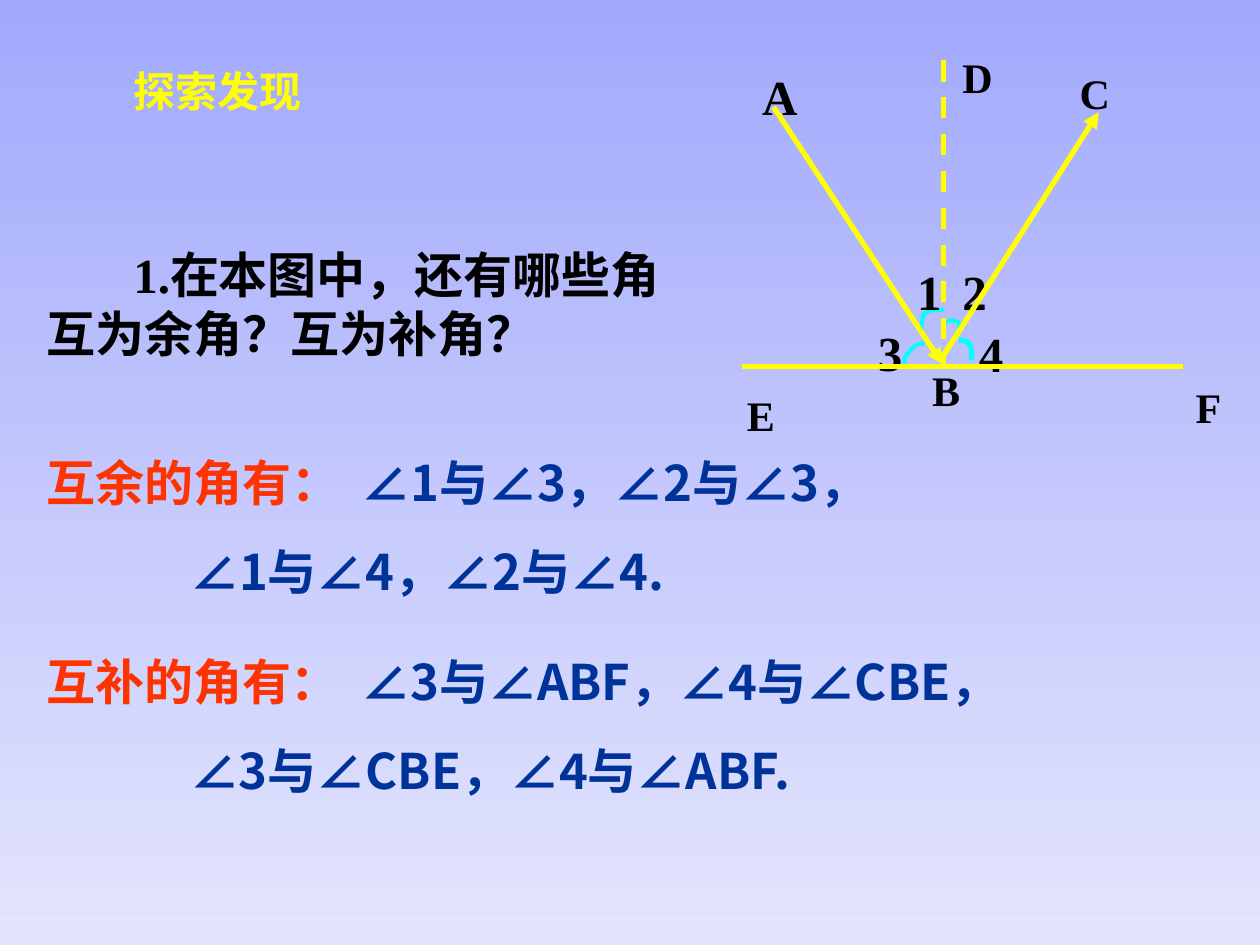
from lxml.etree import SubElement
from pptx import Presentation
from pptx.dml.color import RGBColor
from pptx.enum.dml import MSO_LINE
from pptx.enum.shapes import MSO_CONNECTOR
from pptx.enum.text import PP_ALIGN
from pptx.oxml.ns import qn
from pptx.util import Inches, Pt

YELLOW = RGBColor(0xFF, 0xFF, 0x00)
CYAN = RGBColor(0x00, 0xFF, 0xFF)
BLACK = RGBColor(0x00, 0x00, 0x00)
RED = RGBColor(0xFF, 0x33, 0x00)
BLUE = RGBColor(0x00, 0x33, 0x99)
SKY_TOP = RGBColor(0xA2, 0xA9, 0xFC)
SKY_BOTTOM = RGBColor(0xE3, 0xE5, 0xFD)
SANS, SERIF = "Noto Sans CJK SC", "Times New Roman"

# The slide is a grid of 100 columns by 75 rows
COLUMNS, ROWS = 100, 75
CELL = Inches(0.1)


def grid(units):
    return round(units * CELL)


def add_text(slide, box, paragraphs, size=28, align=PP_ALIGN.LEFT, indents=(0,), tab=None):
    """Each paragraph is a list of (text, font, colour) runs."""
    frame = slide.shapes.add_textbox(*map(grid, box)).text_frame
    frame.word_wrap = True
    for index, runs in enumerate(paragraphs):
        paragraph = frame.add_paragraph() if index else frame.paragraphs[0]
        properties = paragraph._p.get_or_add_pPr()
        properties.set("marL", "0")
        properties.set("indent", str(grid(indents[index])))
        if tab:
            tabs = SubElement(properties, qn("a:tabLst"))
            SubElement(tabs, qn("a:tab"), pos=str(grid(tab)), algn="l")
        paragraph.alignment = align
        paragraph.line_spacing = Pt(size * 1.2)
        paragraph.space_before = Pt(17.5 if index else 0)
        for text, font, colour in runs:
            run = paragraph.add_run()
            run.text = text
            run.font.size = Pt(size)
            run.font.bold = True
            run.font.color.rgb = colour
            run.font.name = font
            SubElement(run._r.get_or_add_rPr(), qn("a:ea"), typeface=SANS)


def add_ray(slide, start, end, arrow=False, dashed=False):
    ray = slide.shapes.add_connector(MSO_CONNECTOR.STRAIGHT, *map(grid, (*start, *end)))
    ray.line.color.rgb = YELLOW
    ray.line.width = Pt(3)
    if dashed:
        ray.line.dash_style = MSO_LINE.DASH
    if arrow:
        SubElement(ray.line._get_or_add_ln(), qn("a:tailEnd"), type="triangle")
    SubElement(ray._element.spPr, qn("a:effectLst"))


def curve_points(start, segments, steps=8):
    """Sample a chain of cubic curves."""
    points = [start]
    for first, second, end in segments:
        begin = points[-1]
        for step in range(1, steps + 1):
            t = step / steps
            weights = ((1 - t) ** 3, 3 * t * (1 - t) ** 2, 3 * t * t * (1 - t), t ** 3)
            corners = (begin, first, second, end)
            points.append(tuple(sum(w * c[axis] for w, c in zip(weights, corners))
                                for axis in (0, 1)))
    return points


def add_arc(slide, points, width):
    points = [(grid(x), grid(y)) for x, y in points]
    builder = slide.shapes.build_freeform(*points[0])
    builder.add_line_segments(points[1:], close=False)
    arc = builder.convert_to_shape()
    arc.shadow.inherit = False
    arc.fill.background()
    arc.line.color.rgb = CYAN
    arc.line.width = Pt(width)


def add_angle_figure(slide, left, top):
    def at(x, y):
        return left + x, top + y

    # Arcs marking angles 1, 3, 4 and 2
    arcs = [
        ((14.8, 22.9), [((14.9, 22.4), (14.8, 21.9), (15, 21.4)),
                        ((15.1, 20.9), (16.4, 21), (16.6, 21))], 2.25),
        ((15.1, 23.6), [((14.1, 23.8), (14.2, 24), (13.6, 24.6)),
                        ((13.4, 25.1), (13.5, 24.9), (13.5, 25.5))], 2.25),
        ((17.8, 23.4), [((18, 23.4), (18.2, 23.4), (18.4, 23.5)),
                        ((18.9, 23.7), (18.8, 24.5), (18.8, 25))], 3),
        ((16.6, 22), [((16.9, 21.9), (17.4, 21.7), (17.8, 22)),
                      ((17.9, 22.2), (17.8, 22.4), (17.8, 22.6))], 2.25),
    ]
    for start, segments, width in arcs:
        add_arc(slide, [at(*point) for point in curve_points(start, segments)], width)

    # Angle numbers and point letters: x, y, width, size
    labels = {
        "3": (10.4, 21.5, 4.3, 28), "4": (18.4, 21.6, 4.9, 28),
        "1": (13.5, 16.7, 2.4, 28), "2": (17.1, 16.7, 3.1, 28),
        "A": (1.2, 1.2, 6.8, 28), "B": (14.7, 24.8, 6.7, 24),
        "C": (26.4, 1.3, 6.8, 24), "D": (17.1, 0, 6.1, 24),
        "E": (0, 26.8, 5.5, 24), "F": (35.6, 26.2, 6.1, 24),
    }
    for label, (x, y, width, size) in labels.items():
        height = 5.7 if size == 28 else 5
        add_text(slide, (*at(x, y), width, height), [[(label, SERIF, BLACK)]], size)

    # Rays AB and BC, normal DB and base line EF
    add_ray(slide, at(3.1, 4.9), at(16.5, 25.3), arrow=True)
    add_ray(slide, at(16.4, 24.9), at(28.9, 5.3), arrow=True)
    add_ray(slide, at(16.6, 1.2), at(16.6, 25.3), dashed=True)
    add_ray(slide, at(0.6, 25.5), at(35.6, 25.5))


def add_answer(slide, box, heading, first, second):
    add_text(slide, box,
             [[(heading + "\t", SERIF, RED), (first, SANS, BLUE)], [(second, SANS, BLUE)]],
             indents=(0, 11.4), tab=25.2)


def set_background(slide):
    fill = slide.background.fill
    fill.gradient()
    fill.gradient_angle = 270
    for stop, colour, position in zip(fill.gradient_stops, (SKY_TOP, SKY_BOTTOM), (0, 1)):
        stop.color.rgb = colour
        stop.position = position


def main():
    deck = Presentation()
    deck.slide_width, deck.slide_height = grid(COLUMNS), grid(ROWS)
    slide = deck.slides.add_slide(deck.slide_layouts[6])
    set_background(slide)

    # Title, figure and question
    add_text(slide, (5.9, 4.7, 22.8, 11), [[("探索发现", SANS, YELLOW)]], 24, PP_ALIGN.CENTER)
    add_angle_figure(slide, 58.3, 3.6)
    add_text(slide, (2.7, 18.9, 52, 10.4),
             [[("1.在本图中，还有哪些角 互为余角？互为补角？", SERIF, BLACK)]], indents=(6.9,))

    # Answers
    add_answer(slide, (2.7, 35.4, 81.1, 12.8), "互余的角有：",
               "∠1与∠3，∠2与∠3，", "∠1与∠4，∠2与∠4.")
    add_answer(slide, (2.7, 51.2, 78, 17.5), "互补的角有：",
               "∠3与∠ABF，∠4与∠CBE，", "∠3与∠CBE，∠4与∠ABF.")
    deck.save("out.pptx")


if __name__ == "__main__":
    main()
